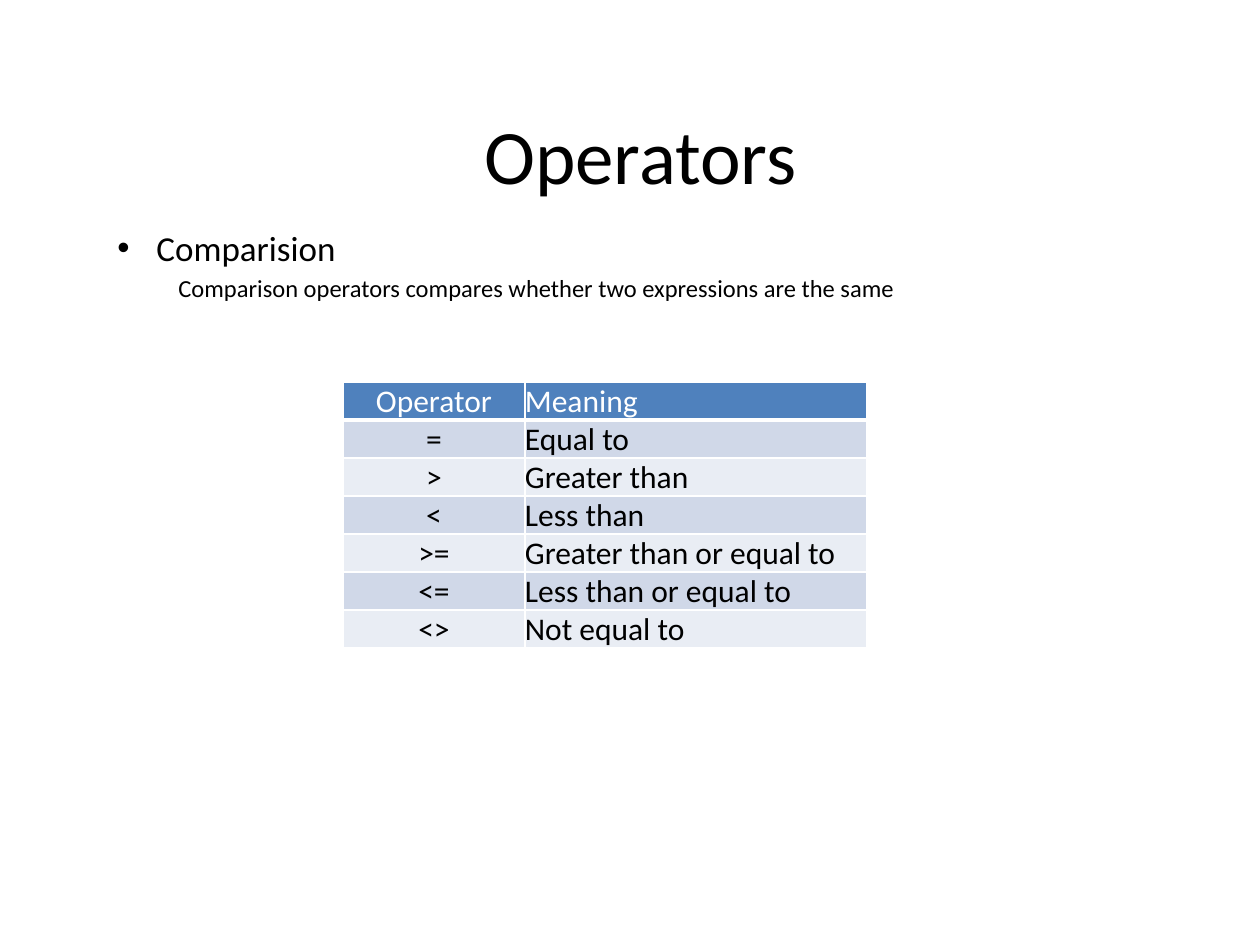
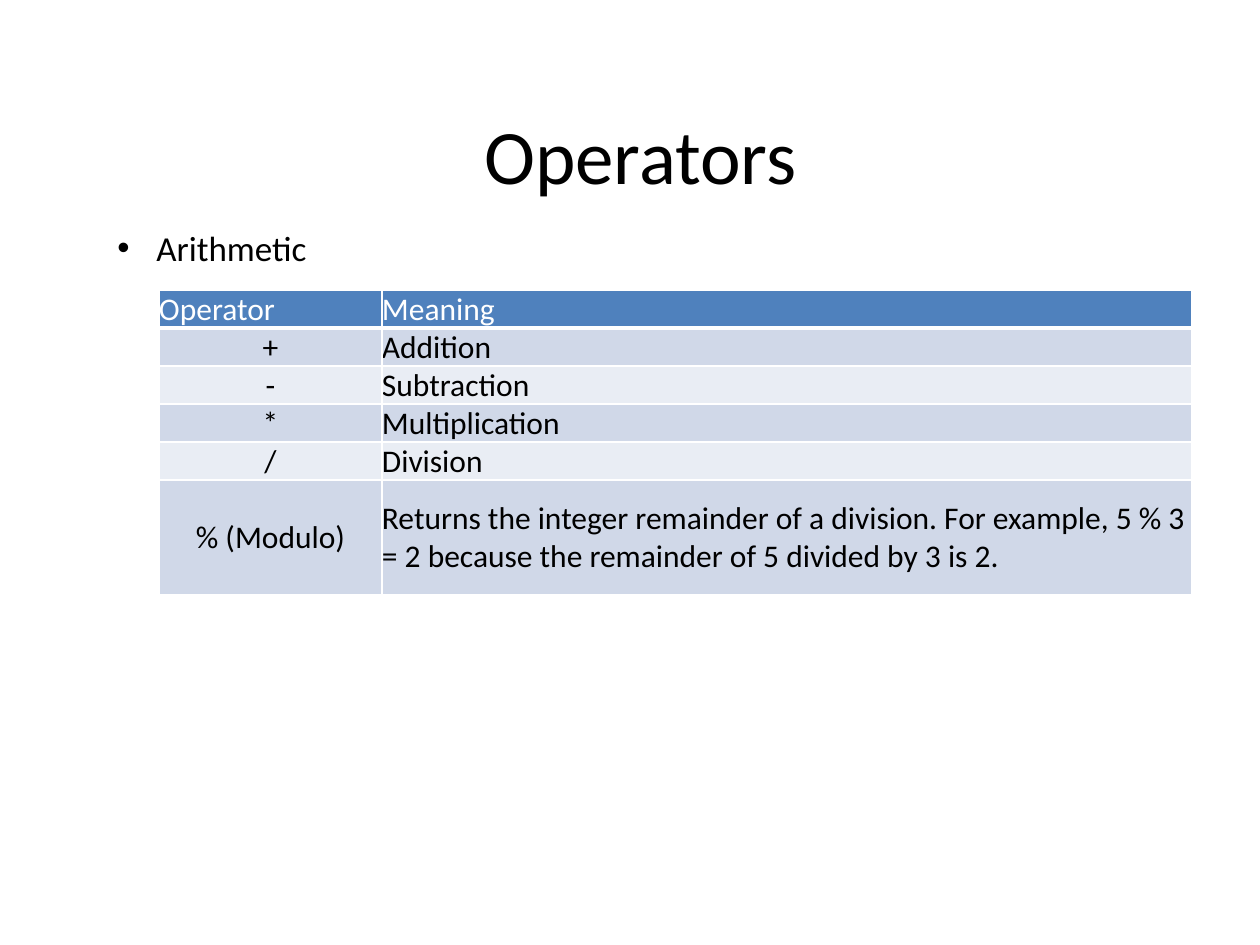
from pptx import Presentation
from pptx.dml.color import RGBColor as Rgb
from pptx.enum.text import MSO_ANCHOR as Anchor, PP_ALIGN as Align
from pptx.oxml.ns import qn
from pptx.util import Pt
from lxml.etree import SubElement as Sub

PX = 914400 / 126
FONT = "Calibri"
HUES = {"ink": "000000", "line": "FFFFFF", "head": "4F81BD",
        "dark": "D0D8E8", "light": "E9EDF4"}
TITLE = (105, 63, 1071, 181)
BODY = (105, 220, 1081, 662)
ROW = 38


def px(n):
    return round(n * PX)


def write(par, text, size=18, hue="ink", align=Align.LEFT, bullet=None,
          left=0, hang=0, before=0):
    par.alignment = align
    par.space_before = Pt(before)
    props = par._p.get_or_add_pPr()
    props.set("marL", str(px(left)))
    props.set("indent", str(px(-hang)))
    if bullet:
        Sub(props, qn("a:buFont"), typeface="Arial")
        Sub(props, qn("a:buChar"), char=bullet)
    run = par.add_run()
    run.text = text
    run.font.name = FONT
    run.font.size = Pt(size)
    run.font.color.rgb = Rgb.from_string(HUES[hue])


def add_frame(slide, box, anchor):
    frame = slide.shapes.add_textbox(*map(px, box)).text_frame
    frame.word_wrap = True
    frame.vertical_anchor = anchor
    return frame


def add_title(slide, box):
    frame = add_frame(slide, box, Anchor.MIDDLE)
    write(frame.paragraphs[0], "Operators", size=44, align=Align.CENTER)


def add_body(slide, box, topic, detail):
    frame = add_frame(slide, box, Anchor.TOP)
    write(frame.paragraphs[0], topic, size=20, bullet="•", left=39, hang=39)
    if detail:
        write(frame.add_paragraph(), detail, size=14, left=61, before=2.8)


def style_cell(cell, hue, base):
    props = cell._tc.get_or_add_tcPr()
    for side, width in zip("LRTB", (1, 1, 1, base)):
        edge = Sub(props, qn(f"a:ln{side}"), w=str(Pt(width)))
        fill = Sub(edge, qn("a:solidFill"))
        Sub(fill, qn("a:srgbClr"), val=HUES["line"])
    cell.fill.solid()
    cell.fill.fore_color.rgb = Rgb.from_string(HUES[hue])
    cell.vertical_anchor = Anchor.MIDDLE
    cell.margin_left = cell.margin_right = 0
    cell.margin_top = cell.margin_bottom = 0


def add_grid(slide, spot, cols, rows, head, last):
    data = [("Operator", "Meaning"), *rows]
    tall = [ROW] * len(rows) + [last]
    size = (sum(cols), sum(tall))
    grid = slide.shapes.add_table(
        len(data), len(cols), *map(px, spot + size)).table
    grid.horz_banding = False
    for col, wide in zip(grid.columns, cols):
        col.width = px(wide)
    for r, (row, high) in enumerate(zip(data, tall)):
        grid.rows[r].height = px(high)
        hue = "head" if r == 0 else ("light", "dark")[r % 2]
        aligns = (Align.CENTER if r else head, Align.LEFT)
        for c, (text, align) in enumerate(zip(row, aligns)):
            cell = grid.cell(r, c)
            style_cell(cell, hue, 1 if r else 3)
            write(cell.text_frame.paragraphs[0], text,
                  hue="ink" if r else "line", align=align)


def add_page(deck, topic, spot, cols, rows, detail=None,
             head=Align.LEFT, last=ROW):
    slide = deck.slides.add_slide(deck.slide_layouts[6])
    add_title(slide, TITLE)
    add_body(slide, BODY, topic, detail)
    add_grid(slide, spot, cols, rows, head, last)


def main():
    deck = Presentation()
    deck.slide_width, deck.slide_height = px(1260), px(945)
    add_page(deck, "Comparision", (343, 382), (182, 342), [
        ("=", "Equal to"),
        (">", "Greater than"),
        ("<", "Less than"),
        (">=", "Greater than or equal to"),
        ("<=", "Less than or equal to"),
        ("<>", "Not equal to"),
    ], detail="Comparison operators compares whether two expressions "
              "are the same", head=Align.CENTER)
    add_page(deck, "Arithmetic", (159, 290), (223, 810), [
        ("+", "Addition"),
        ("-", "Subtraction"),
        ("*", "Multiplication"),
        ("/", "Division"),
        ("% (Modulo)", "Returns the integer remainder of a division. "
         "For example, 5 % 3 = 2 because the remainder of 5 divided "
         "by 3 is 2."),
    ], last=115)
    deck.save("out.pptx")


if __name__ == "__main__":
    main()
